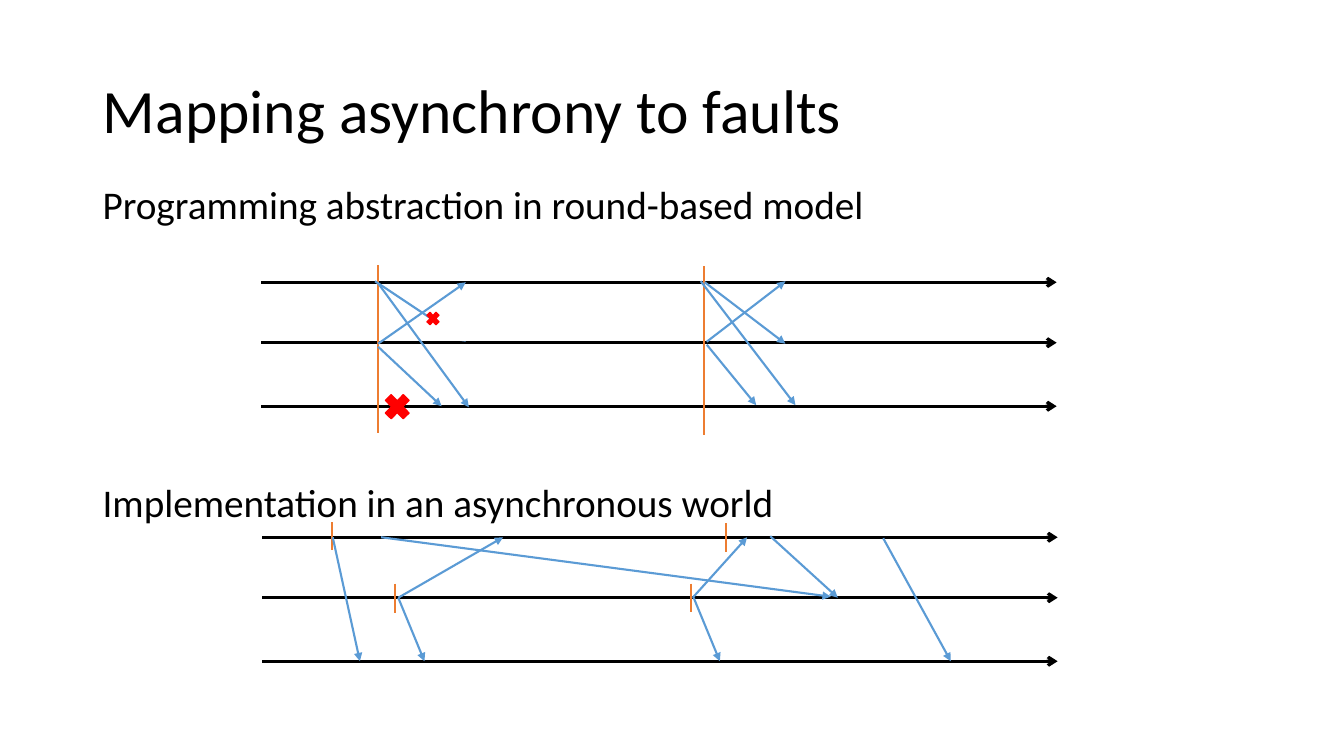
from lxml.etree import SubElement
from pptx import Presentation
from pptx.dml.color import RGBColor
from pptx.enum.shapes import MSO_CONNECTOR as Connector, MSO_SHAPE as Shape
from pptx.enum.text import MSO_ANCHOR as Anchor, MSO_AUTO_SIZE as AutoSize, PP_ALIGN as Align
from pptx.oxml.ns import qn
from pptx.util import Inches, Pt

BLACK = RGBColor(0x00, 0x00, 0x00)
WHITE = RGBColor(0xFF, 0xFF, 0xFF)
RED = RGBColor(0xFF, 0x00, 0x00)
ORANGE = RGBColor(0xED, 0x7D, 0x31)
BLUE = RGBColor(0x5B, 0x9B, 0xD5)
FONT = "Calibri"
PROCESS_OFFSETS = (0, 0.6, 1.23)
TIMELINE_LENGTH = 7.89

ROUND_STARTS = [(1.16, -0.17, 1.5), (4.39, -0.16, 1.52)]
ROUND_MESSAGES = [
    (1.16, 0.01, 2.06, 1.24), (1.16, 0.61, 2.03, 0),
    (1.16, 0.64, 1.79, 1.23), (1.13, -0.01, 2.03, 0.59),
    (4.36, -0.01, 5.3, 1.22), (4.42, 0.59, 5.2, -0.01),
    (4.42, 0.62, 4.91, 1.22), (4.4, 0, 5.2, 0.61),
]
ASYNC_STARTS = [
    (0.69, -0.15, 0.13), (1.32, 0.46, 0.75),
    (4.6, -0.14, 0.15), (4.25, 0.46, 0.74),
]
ASYNC_MESSAGES = [
    (0.7, 0, 0.97, 1.23), (1.18, 0, 5.64, 0.59),
    (1.35, 0.6, 1.61, 1.23), (1.35, 0.6, 2.39, 0),
    (4.28, 0.6, 4.54, 1.23), (4.27, 0.6, 4.81, 0),
    (5.04, -0.01, 5.71, 0.6), (6.16, 0.01, 6.83, 1.23),
]


def format_text(frame, size):
    """Set the font, size and colour of every run in a text frame."""
    for para in frame.paragraphs:
        for span in para.runs:
            span.font.name = FONT
            span.font.size = Pt(size)
            span.font.color.rgb = BLACK


def add_title(page, text, left, top, width, height):
    """Fill and place the title placeholder."""
    title = page.shapes.title
    title.left, title.top = Inches(left), Inches(top)
    title.width, title.height = Inches(width), Inches(height)
    frame = title.text_frame
    frame.text = text
    frame.vertical_anchor = Anchor.MIDDLE
    frame.paragraphs[0].alignment = Align.LEFT
    frame.paragraphs[0].line_spacing = 0.9
    format_text(frame, 44)


def add_heading(page, text, left, top, width):
    """Add the heading above a diagram."""
    box = page.shapes.add_textbox(Inches(left), Inches(top), Inches(width), Inches(0.57))
    frame = box.text_frame
    frame.word_wrap = False
    frame.auto_size = AutoSize.SHAPE_TO_FIT_TEXT
    frame.text = text
    format_text(frame, 28)


def add_line(page, start, end, color, weight, head=None):
    """Draw a straight line, with an arrowhead at its end if one is named."""
    points = [Inches(value) for value in (*start, *end)]
    line = page.shapes.add_connector(Connector.STRAIGHT, *points)
    line.line.color.rgb = color
    line.line.width = Pt(weight)
    if head:
        SubElement(line.line._get_or_add_ln(), qn("a:tailEnd"), type=head)
    SubElement(line._element.spPr, qn("a:effectLst"))


def add_mark(page, kind, color, left, top, width, height):
    """Add a shape filled and outlined in one colour."""
    mark = page.shapes.add_shape(kind, Inches(left), Inches(top), Inches(width), Inches(height))
    mark.shadow.inherit = False
    mark.fill.solid()
    mark.fill.fore_color.rgb = color
    mark.line.color.rgb = color
    mark.line.width = Pt(1)


def add_diagram(page, left, top, starts, messages):
    """Draw the process timelines, round starts and messages from a top-left corner."""
    for offset in PROCESS_OFFSETS:
        y = top + offset
        add_line(page, (left, y), (left + TIMELINE_LENGTH, y), BLACK, 2.25, "arrow")
    for x, upper, lower in starts:
        add_line(page, (left + x, top + upper), (left + x, top + lower), ORANGE, 1.5)
    for x1, y1, x2, y2 in messages:
        add_line(page, (left + x1, top + y1), (left + x2, top + y2), BLUE, 1.5, "triangle")


def add_faults(page, left, top):
    """Mark the crashed process and the lost message of the first round."""
    add_mark(page, Shape.MATH_MULTIPLY, RED, left + 1.18, top + 1.06, 0.34, 0.35)
    add_mark(page, Shape.RECTANGLE, WHITE, left + 1.7, top + 0.25, 0.51, 0.33)
    add_mark(page, Shape.MATH_MULTIPLY, RED, left + 1.62, top + 0.27, 0.17, 0.18)


def main():
    """Build the slide and save the deck."""
    deck = Presentation()
    deck.slide_width, deck.slide_height = Inches(13.33), Inches(7.5)
    page = deck.slides.add_slide(deck.slide_layouts[5])
    add_title(page, "Mapping asynchrony to faults", 0.92, 0.4, 11.5, 1.45)
    add_heading(page, "Programming abstraction in round-based model", 0.92, 1.74, 7.84)
    add_diagram(page, 2.59, 2.8, ROUND_STARTS, ROUND_MESSAGES)
    add_faults(page, 2.59, 2.8)
    add_heading(page, "Implementation in an asynchronous world", 0.92, 4.7, 6.93)
    add_diagram(page, 2.6, 5.33, ASYNC_STARTS, ASYNC_MESSAGES)
    deck.save("out.pptx")


if __name__ == "__main__":
    main()
